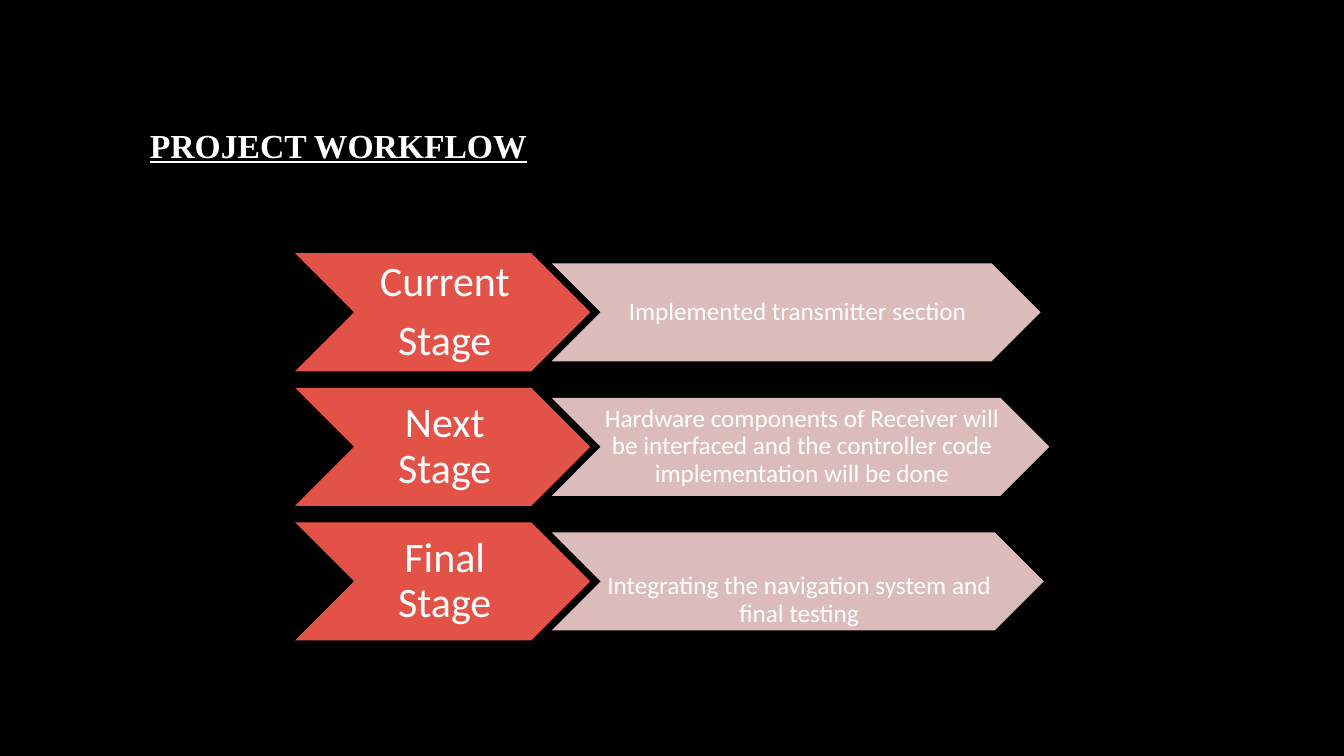
import pptx
import pptx.util
import pptx.dml.color
import pptx.enum.shapes
import pptx.enum.text
import pptx.oxml.ns
from lxml import etree

Pt = pptx.util.Pt

TITLE = "PROJECT WORKFLOW"
# stage lines, task, width of the task chevron, top inset of the task text
STAGES = [
    (["Current", "Stage"], "Implemented transmitter section", 349.2, 1),
    (["Next Stage"], "Hardware components of Receiver will be interfaced "
     "and the controller code implementation will be done", 355.5, 1),
    (["Final Stage"], "Integrating the navigation system and final testing",
     351.4, 28),
]
COLORS = {"background": "000000", "text": "FFFFFF",
          "stage": "E25247", "task": "F4D1CF"}

STAGE_LEFT, STAGE_WIDTH, STAGE_HEIGHT = 210.8, 210.8, 84.3
TASK_LEFT, TASK_HEIGHT = 394.1, 70
FIRST_TOP, ROW_PITCH = 180.9, 96.1


def rgb(name):
    return pptx.dml.color.RGBColor.from_string(COLORS[name])


def format_paragraph(paragraph, font_name, size):
    paragraph.line_spacing = 0.9
    for run in paragraph.runs:
        run.font.name = font_name
        run.font.size = Pt(size)
        run.font.color.rgb = rgb("text")


def add_chevron(slide, box, color, lines, size, insets):
    """Draw a chevron with centred text; insets are left, top, right, bottom."""
    chevron = slide.shapes.add_shape(
        pptx.enum.shapes.MSO_SHAPE.CHEVRON, *map(Pt, box))
    chevron.shadow.inherit = False
    chevron.fill.solid()
    chevron.fill.fore_color.rgb = rgb(color)
    chevron.line.fill.background()

    frame = chevron.text_frame
    frame.word_wrap = True
    frame.vertical_anchor = pptx.enum.text.MSO_ANCHOR.MIDDLE
    (frame.margin_left, frame.margin_top,
     frame.margin_right, frame.margin_bottom) = map(Pt, insets)
    frame.text = "\n".join(lines)
    for index, paragraph in enumerate(frame.paragraphs):
        paragraph.alignment = pptx.enum.text.PP_ALIGN.CENTER
        if index:
            paragraph.space_before = Pt(10)
        format_paragraph(paragraph, "Calibri", size)
    return chevron


def set_opacity(shape, percent):
    color = shape._element.spPr.find(".//" + pptx.oxml.ns.qn("a:srgbClr"))
    alpha = etree.SubElement(color, pptx.oxml.ns.qn("a:alpha"))
    alpha.set("val", str(percent * 1000))


def add_title(slide):
    title = slide.shapes.add_textbox(Pt(100), Pt(88.6), Pt(793.4), Pt(90.7))
    title.text_frame.word_wrap = True
    title.text_frame.text = TITLE
    heading = title.text_frame.paragraphs[0]
    format_paragraph(heading, "Times New Roman", 24)
    heading.runs[0].font.bold = True
    heading.runs[0].font.underline = True


def main():
    deck = pptx.Presentation()
    deck.slide_width, deck.slide_height = Pt(960), Pt(540)
    slide = deck.slides.add_slide(deck.slide_layouts[6])
    slide.background.fill.solid()
    slide.background.fill.fore_color.rgb = rgb("background")

    add_title(slide)
    for row, (stage, task, task_width, task_inset) in enumerate(STAGES):
        top = FIRST_TOP + row * ROW_PITCH
        add_chevron(slide, (STAGE_LEFT, top, STAGE_WIDTH, STAGE_HEIGHT),
                    "stage", stage, 30, (3, 1.5, 0, 1.5))
        task_top = top + (STAGE_HEIGHT - TASK_HEIGHT) / 2
        task_chevron = add_chevron(
            slide, (TASK_LEFT, task_top, task_width, TASK_HEIGHT),
            "task", [task], 18, (2, task_inset, 0, 1))
        set_opacity(task_chevron, 90)

    deck.save("out.pptx")


if __name__ == "__main__":
    main()
